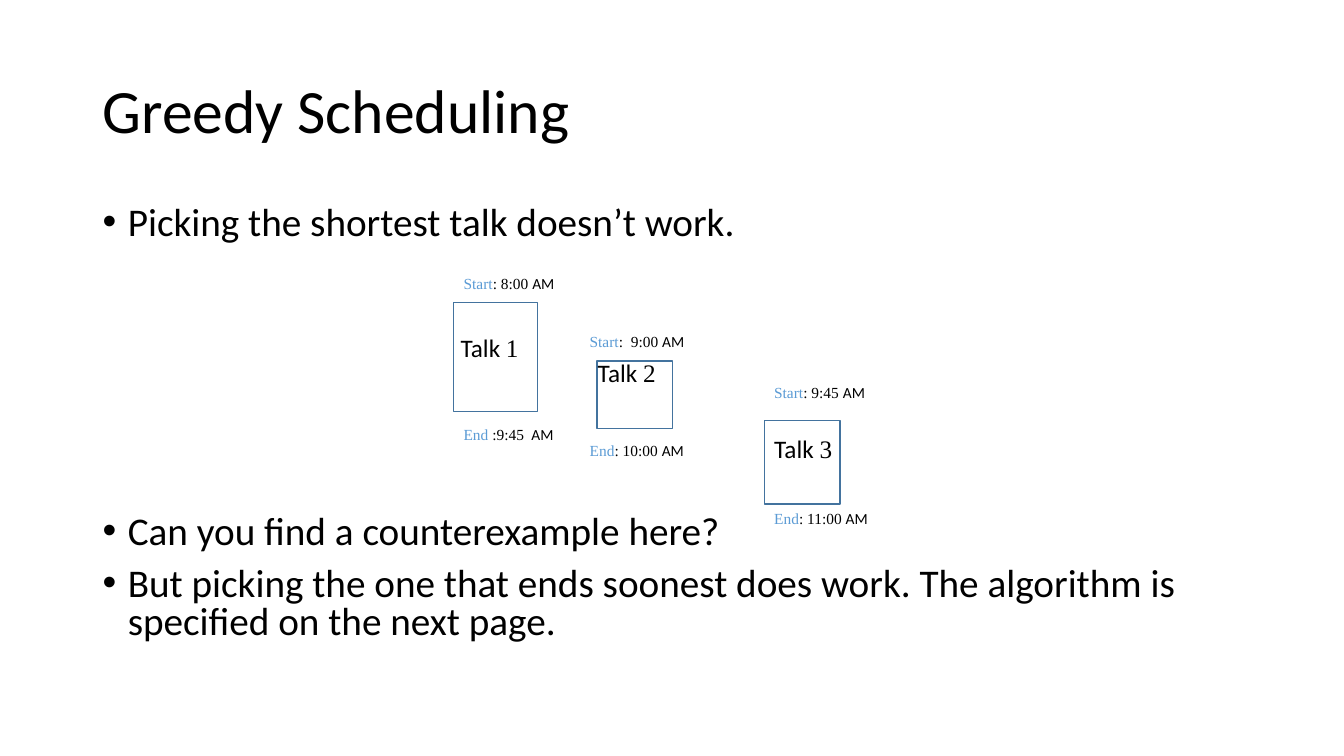
from dataclasses import dataclass

from lxml import etree
from pptx import Presentation
from pptx import util as u
from pptx.dml.color import RGBColor
from pptx.enum import shapes, text
from pptx.oxml.ns import qn
from pptx.slide import Slide
from pptx.text.text import TextFrame, _Paragraph

BLACK = RGBColor(0x00, 0x00, 0x00)
SKY = RGBColor(0x5B, 0x9B, 0xD5)
STEEL = RGBColor(0x43, 0x73, 0x9E)
SANS = "Calibri"
SERIF = "Times New Roman"


@dataclass(frozen=True)
class Piece:
    words: str
    face: str = SANS
    color: RGBColor = BLACK


@dataclass(frozen=True)
class Box:
    left: float
    top: float
    width: float
    height: float

    def lengths(self) -> tuple[u.Length, ...]:
        return tuple(u.Inches(n) for n in (self.left, self.top, self.width, self.height))


@dataclass(frozen=True)
class Talk:
    number: str
    block: Box
    name_at: tuple[float, float]
    times_left: float
    start_top: float
    end_top: float
    start: str
    end: tuple[str, str, str]


@dataclass(frozen=True)
class Point:
    words: str
    space_before: float


TITLE = Box(0.92, 0.4, 11.5, 1.45)
POINTS_AREA = Box(0.92, 2, 11.5, 4.76)
POINTS = (
    Point("Picking the shortest talk doesn’t work.", 0),
    Point("Can you find a counterexample here?", 194),
    Point("But picking the one that ends soonest does work. "
          "The algorithm is specified on the next page.", 10),
)
TALKS = (
    Talk("2", Box(5.92, 3.58, 0.75, 0.67), (5.83, 3.5), 5.75, 3.25, 4.33,
         ":  9:00 ", ("End", ": 10:00 ", "AM")),
    Talk("1", Box(4.5, 3, 0.83, 1.08), (4.47, 3.25), 4.5, 2.67, 4.17,
         ": 8:00 ", ("End", " :9:45 ", " AM")),
    Talk("3", Box(7.58, 4.17, 0.75, 0.83), (7.58, 4.25), 7.58, 3.75, 5,
         ": 9:45 ", ("End", ": 11:00 ", "AM")),
)


def apply(target: object, formats: dict[str, object]) -> None:
    for name, value in formats.items():
        setattr(target, name, value)


def write(paragraph: _Paragraph, pieces: tuple[Piece, ...], size: float) -> None:
    for piece in pieces:
        run = paragraph.add_run()
        run.text = piece.words
        apply(run.font, {"name": piece.face, "size": u.Pt(size)})
        run.font.color.rgb = piece.color


def add_text(slide: Slide, area: Box) -> TextFrame:
    frame = slide.shapes.add_textbox(*area.lengths()).text_frame
    frame.word_wrap = True
    return frame


def add_time(slide: Slide, left: float, top: float, label: str, hour: str, half: str) -> None:
    frame = add_text(slide, Box(left, top, 1.83, 0.29))
    pieces = (Piece(label, SERIF, SKY), Piece(hour, SERIF), Piece(half))
    write(frame.paragraphs[0], pieces, 11)


def add_talk(slide: Slide, talk: Talk) -> None:
    block = slide.shapes.add_shape(shapes.MSO_SHAPE.RECTANGLE, *talk.block.lengths())
    block.shadow.inherit = False
    block.fill.background()
    block.line.color.rgb = STEEL
    block.line.width = u.Pt(1)
    name = add_text(slide, Box(*talk.name_at, 0.92, 0.4))
    write(name.paragraphs[0], (Piece("Talk "), Piece(talk.number, SERIF)), 18)
    add_time(slide, talk.times_left, talk.start_top, "Start", talk.start, "AM")
    add_time(slide, talk.times_left, talk.end_top, *talk.end)


def add_title(slide: Slide, words: str) -> None:
    title = slide.shapes.title
    apply(title, dict(zip(("left", "top", "width", "height"), TITLE.lengths())))
    apply(title.text_frame, {
        "word_wrap": True,
        "auto_size": text.MSO_AUTO_SIZE.NONE,
        "vertical_anchor": text.MSO_ANCHOR.MIDDLE,
    })
    heading = title.text_frame.paragraphs[0]
    apply(heading, {"alignment": text.PP_ALIGN.LEFT, "line_spacing": 0.9})
    write(heading, (Piece(words),), 44)


def add_points(slide: Slide) -> None:
    frame = add_text(slide, POINTS_AREA)
    for index, point in enumerate(POINTS):
        paragraph = frame.add_paragraph() if index else frame.paragraphs[0]
        properties = paragraph._p.get_or_add_pPr()
        indent = u.Inches(0.25)
        properties.set("marL", str(indent))
        properties.set("indent", str(-indent))
        etree.SubElement(properties, qn("a:buFont"), typeface="Arial")
        etree.SubElement(properties, qn("a:buChar"), char="•")
        apply(paragraph, {"line_spacing": 0.8, "space_before": u.Pt(point.space_before)})
        write(paragraph, (Piece(point.words),), 28)


def main() -> None:
    deck = Presentation()
    apply(deck, {"slide_width": u.Inches(13.33), "slide_height": u.Inches(7.5)})
    slide = deck.slides.add_slide(deck.slide_layouts[5])
    add_title(slide, "Greedy Scheduling")
    add_points(slide)
    for talk in TALKS:
        add_talk(slide, talk)
    deck.save("out.pptx")


if __name__ == "__main__":
    main()
